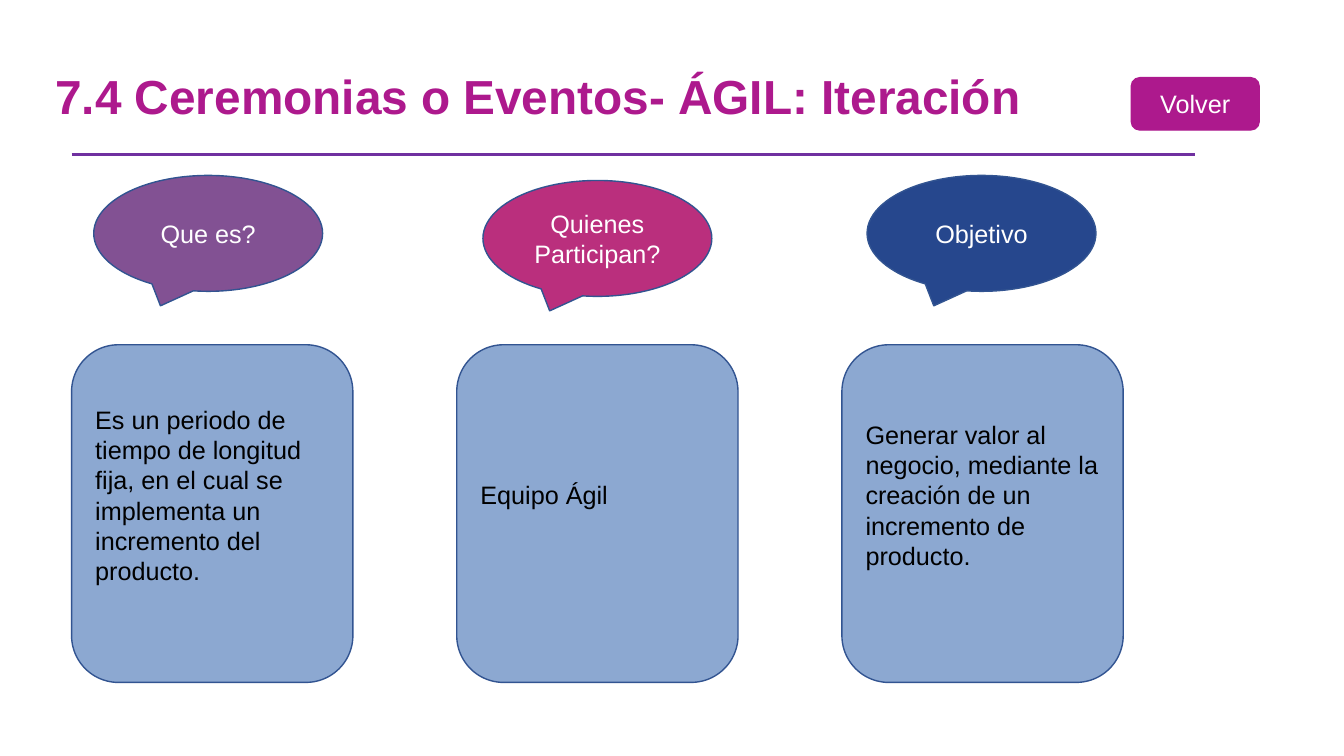
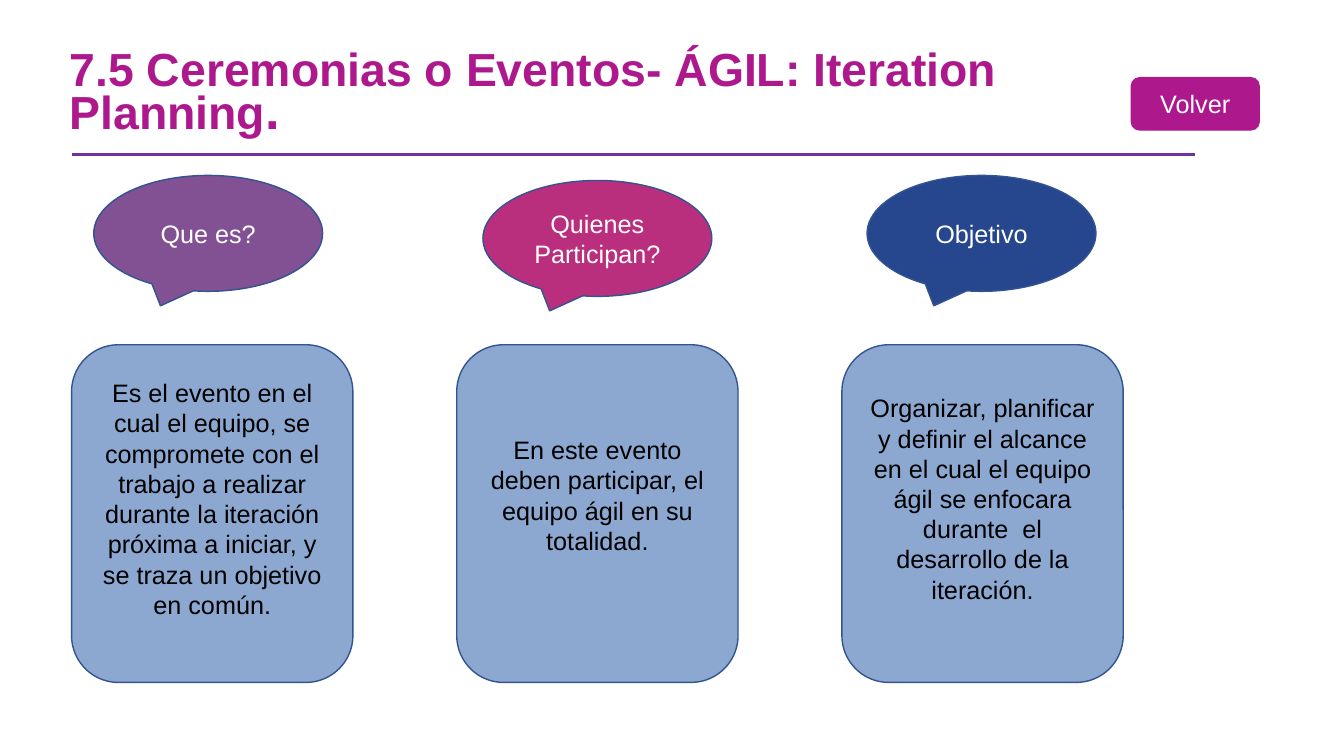
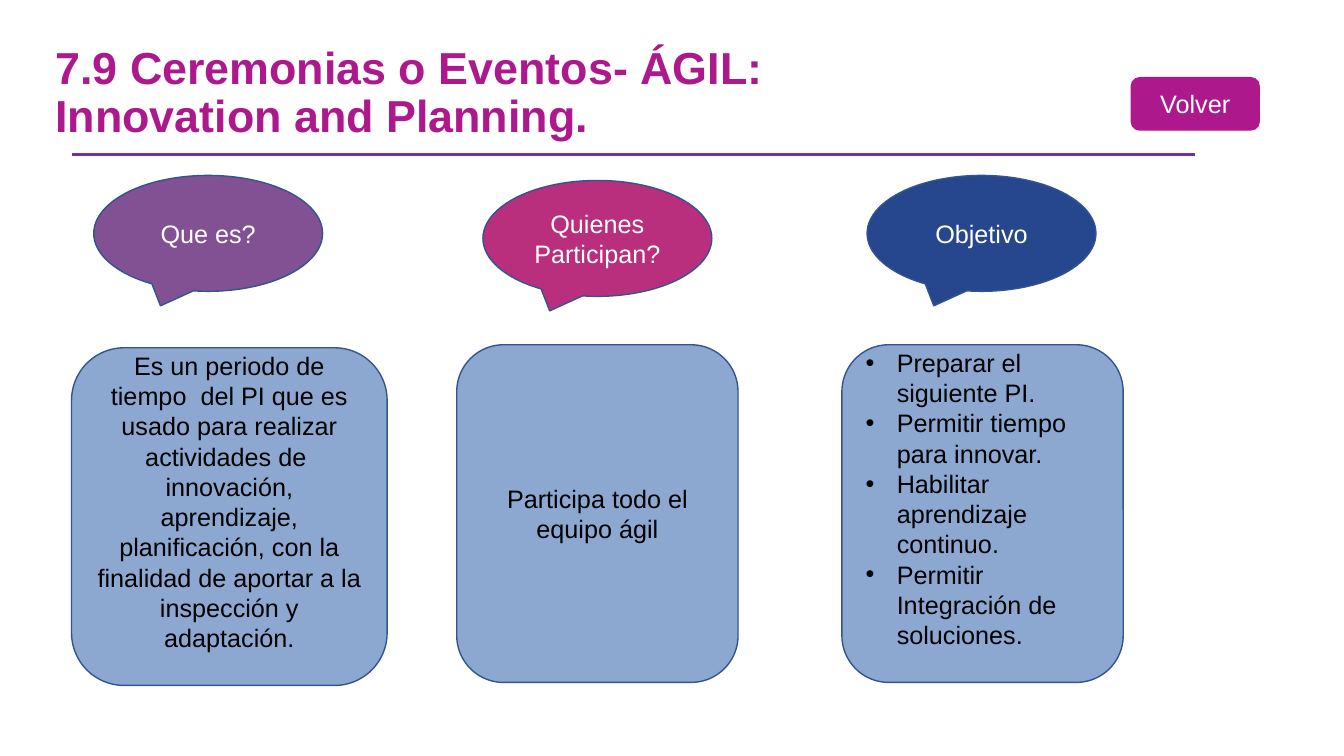
from typing import Any, NamedTuple

from lxml.etree import SubElement as Sub
from pptx import Presentation
from pptx.dml.color import RGBColor as Rgb
from pptx.enum.shapes import MSO_CONNECTOR as Link, MSO_SHAPE as Form
from pptx.enum.text import MSO_ANCHOR as Anchor, MSO_AUTO_SIZE as Fit, PP_ALIGN as Align
from pptx.oxml.ns import qn
from pptx.util import Inches as In, Pt

# Shared look
FONT = "Arial"
HUE = {
    "title": "AD198D", "rule": "7030A0", "edge": "325491", "card": "8CA8D1",
    "plum": "825193", "rose": "BA2F7D", "navy": "26478D",
    "white": "FFFFFF", "black": "000000",
}

# Column grid, in inches
LEFT, PITCH = 0.71, 3.82
CARD_TOP, CARD_W, CARD_H = 3.42, 2.79, 3.35
BALL_W, BALL_H = 2.27, 1.15
PAD = 0.05


class Box(NamedTuple):
    x: float
    y: float
    w: float
    h: float


class Topic(NamedTuple):
    text: str
    hue: str
    shift: float  # from the left of its column
    top: float


class Card(NamedTuple):
    lines: list[str]
    lift: float = 0.3  # extra room under the text
    align: Any = Align.CENTER
    bullet: bool = False
    drop: float = 0
    width: float = CARD_W


class Page(NamedTuple):
    title: str
    box: Box
    size: float
    pace: float
    cards: list[Card]
    end: tuple[str, float] | None = None


TOPICS = [
    Topic("Que es?", "plum", 0.22, 1.74),
    Topic("Quienes Participan?", "rose", 0.26, 1.79),
    Topic("Objetivo", "navy", 0.25, 1.74),
]

PAGES = [
    Page("7.4 Ceremonias o Eventos- ÁGIL: Iteración", Box(0.45, 0.71, 10.01, 0.61), 34.1, 0.7, [
        Card(["Es un periodo de tiempo de longitud fija, en el cual se implementa "
              "un incremento del producto."], 0.37, Align.LEFT),
        Card(["Equipo Ágil"], 0.37, Align.LEFT),
        Card(["Generar valor al negocio, mediante la creación de un incremento "
              "de producto."], 0.37, Align.LEFT),
    ]),
    Page("7.5 Ceremonias o Eventos- ÁGIL: Iteration Planning", Box(0.59, 0.45, 10.54, 1.02), 33.1, 0.7, [
        Card(["Es el evento en el cual el equipo, se compromete con el trabajo a "
              "realizar durante la iteración próxima a iniciar, y se traza un "
              "objetivo en común."]),
        Card(["En este evento deben participar, el equipo ágil en su totalidad."], 0.37),
        Card(["Organizar, planificar y definir el alcance en el cual el equipo ágil "
              "se enfocara durante  el desarrollo de la iteración."]),
    ], end=(".", 37.4)),
    Page("7.9 Ceremonias o Eventos- ÁGIL: Innovation and Planning.", Box(0.45, 0.27, 8.46, 1.32), 32, 0.9, [
        Card(["Es un periodo de tiempo  del PI que es usado para realizar actividades "
              "de  innovación, aprendizaje, planificación, con la finalidad de aportar "
              "a la inspección y adaptación."], drop=0.03, width=3.13),
        Card(["Participa todo el equipo ágil"], 0),
        Card(["Preparar el siguiente PI.", "Permitir tiempo para innovar.",
              "Habilitar aprendizaje continuo.", "Permitir Integración de soluciones."],
             align=Align.LEFT, bullet=True),
    ]),
]


def write(frame: Any, lines: list[str], *, size: float = 18, hue: str = "white",
          bold: bool = False, align: Any = Align.CENTER, pace: float | None = None,
          bullet: bool = False, lift: float = 0,
          end: tuple[str, float] | None = None) -> None:
    """Fill a text frame; end is a last run with its own size."""
    frame.word_wrap = True
    frame.auto_size = Fit.NONE
    frame.vertical_anchor = Anchor.MIDDLE
    frame.margin_left = frame.margin_right = In(0.1)
    frame.margin_top, frame.margin_bottom = In(PAD), In(PAD + lift)
    for n, line in enumerate(lines):
        para = frame.add_paragraph() if n else frame.paragraphs[0]
        para.alignment = align
        if pace:
            para.line_spacing = pace
        if bullet:
            prop = para._p.get_or_add_pPr()
            prop.set("marL", str(In(0.31)))
            prop.set("indent", str(-In(0.31)))
            Sub(prop, qn("a:buFont"), typeface=FONT)
            Sub(prop, qn("a:buChar"), char="•")
        for text, pts in [(line, size)] + ([end] if end else []):
            run = para.add_run()
            run.text = text
            font = run.font
            font.name, font.size, font.bold = FONT, Pt(pts), bold
            font.color.rgb = Rgb.from_string(HUE[hue])


def draw(slide: Any, form: Any, box: Box, fill: str, edge: str,
         lines: list[str], **style: Any) -> None:
    """Add a filled shape with text."""
    shape = slide.shapes.add_shape(form, *map(In, box))
    shape.shadow.inherit = False
    shape.fill.solid()
    shape.fill.fore_color.rgb = Rgb.from_string(HUE[fill])
    shape.line.color.rgb = Rgb.from_string(HUE[edge])
    shape.line.width = Pt(1)
    write(shape.text_frame, lines, **style)


def head(slide: Any, page: Page) -> None:
    """Title, rule and back button."""
    title = slide.shapes.title
    title.left, title.top, title.width, title.height = map(In, page.box)
    write(title.text_frame, [page.title], size=page.size, hue="title", bold=True,
          align=Align.LEFT, pace=page.pace, end=page.end)
    rule = slide.shapes.add_connector(Link.STRAIGHT, In(LEFT), In(1.53), In(11.85), In(1.53))
    rule.line.color.rgb = Rgb.from_string(HUE["rule"])
    rule.line.width = Pt(2.25)
    Sub(rule._element.spPr, qn("a:effectLst"))
    draw(slide, Form.ROUNDED_RECTANGLE, Box(11.22, 0.77, 1.27, 0.52),
         "title", "title", ["Volver"])


def column(slide: Any, n: int, topic: Topic, card: Card) -> None:
    """Callout with its card below."""
    x = LEFT + n * PITCH
    draw(slide, Form.OVAL_CALLOUT, Box(x + topic.shift, topic.top, BALL_W, BALL_H),
         topic.hue, "edge", [topic.text])
    draw(slide, Form.FLOWCHART_ALTERNATE_PROCESS,
         Box(x, CARD_TOP + card.drop, card.width, CARD_H), "card", "edge", card.lines,
         hue="black", align=card.align, bullet=card.bullet, lift=card.lift)


def main() -> None:
    deck = Presentation()
    deck.slide_width, deck.slide_height = In(13.33), In(7.5)
    for page in PAGES:
        slide = deck.slides.add_slide(deck.slide_layouts[5])
        head(slide, page)
        for n, (topic, card) in enumerate(zip(TOPICS, page.cards)):
            column(slide, n, topic, card)
    deck.save("out.pptx")


if __name__ == "__main__":
    main()
